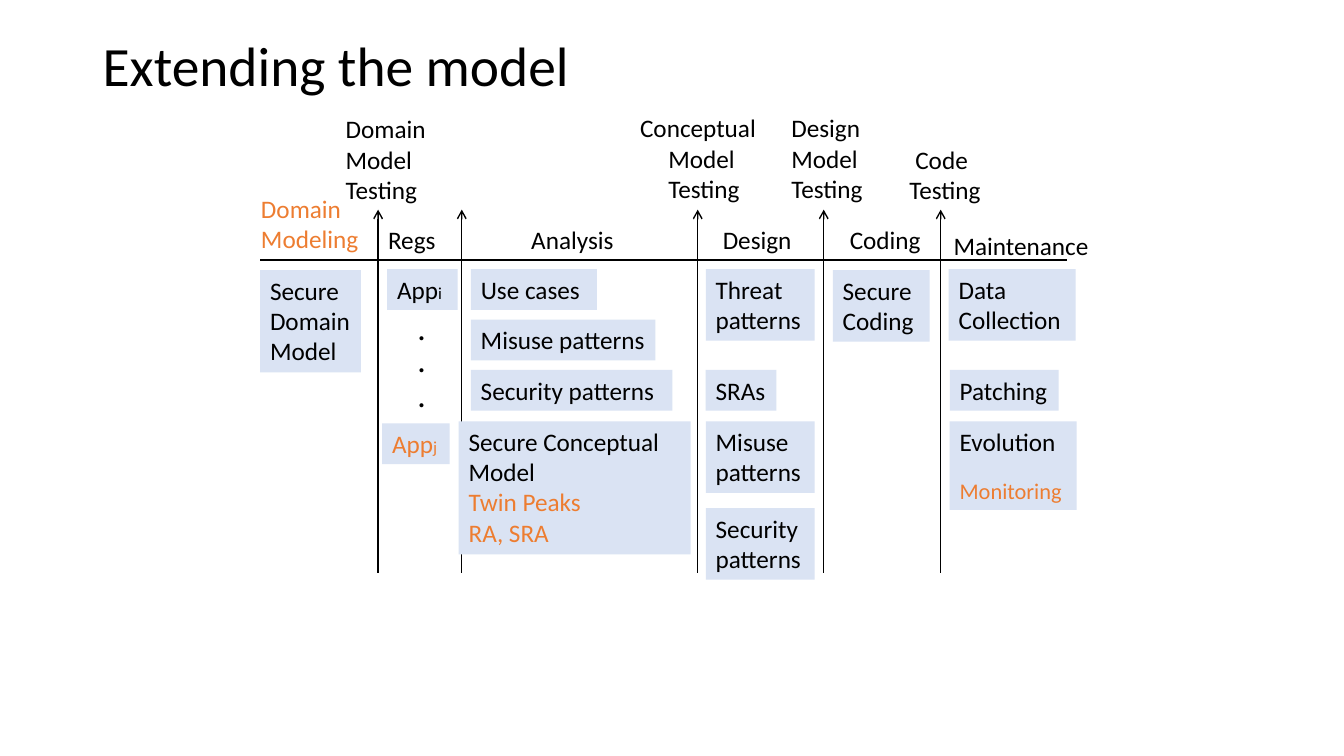
from pptx import Presentation
from pptx.util import Inches, Pt
from pptx.dml.color import RGBColor
from pptx.enum.shapes import MSO_CONNECTOR, MSO_SHAPE
from pptx.enum.text import MSO_ANCHOR, PP_ALIGN
from pptx.oxml.ns import qn
from lxml import etree

STRAIGHT, RECT = MSO_CONNECTOR.STRAIGHT, MSO_SHAPE.RECTANGLE
LEFT, TOP, MIDDLE = PP_ALIGN.LEFT, MSO_ANCHOR.TOP, MSO_ANCHOR.MIDDLE
BLACK = RGBColor(0x00, 0x00, 0x00)
ORANGE = RGBColor(0xED, 0x7D, 0x31)
PALE_BLUE = RGBColor(0xDA, 0xE3, 0xF3)
FONT = "Calibri"


def line(text, color=BLACK, size=18, sub="", indent=0, before=0):
    return dict(text=text, color=color, size=size, sub=sub,
                indent=indent, before=before)


# Content: left, top, width, lines, wrap
TITLE = "Extending the model"
LABELS = [
    (2.49, 1.87, 1.18, [line("Domain", ORANGE), line("Modeling", ORANGE)], False),
    (3.75, 2.18, 0.68, ["Regs"], False),
    (5.17, 2.18, 1.08, ["Analysis"], True),
    (7.07, 2.18, 0.92, ["Design"], True),
    (8.33, 2.18, 0.92, ["Coding"], True),
    (9.36, 2.24, 1.6, ["Maintenance"], True),
    (3.33, 1.08, 1, ["Domain", "Model", "Testing"], False),
    (6.25, 1.07, 1.42, ["Conceptual", line("Model", indent=0.28),
                        line("Testing", indent=0.28)], True),
    (7.75, 1.07, 1.08, ["Design", "Model", "Testing"], True),
    (8.92, 1.38, 1.08, [line("Code", indent=0.06), "Testing"], True),
]
ARTIFACTS = [
    (2.58, 2.68, 1, ["Secure", "Domain", "Model"], True),
    (3.84, 2.67, 0.7, [line("App", sub="i")], True),
    (3.79, 4.2, 0.67, [line("App", ORANGE, sub="j")], False),
    (4.67, 2.67, 1.25, ["Use cases"], True),
    (4.67, 3.17, 1.83, ["Misuse patterns"], True),
    (4.67, 3.67, 2, ["Security patterns"], True),
    (4.55, 4.18, 2.3, ["Secure Conceptual", "Model",
                       line("Twin Peaks", ORANGE), line("RA, SRA", ORANGE)], True),
    (7, 2.67, 1.08, ["Threat", "patterns"], True),
    (7, 3.67, 0.7, ["SRAs"], False),
    (7, 4.18, 1.08, ["Misuse", "patterns"], True),
    (7, 5.04, 1.08, ["Security", "patterns"], True),
    (8.26, 2.68, 0.96, ["Secure", "Coding"], True),
    (9.41, 2.67, 1.26, ["Data", "Collection"], True),
    (9.42, 3.67, 1.08, ["Patching"], False),
    (9.42, 4.18, 1.26, ["Evolution",
                        line("Monitoring", ORANGE, 16, before=14.6)], True),
]
DOT_TOPS = [3, 3.31, 3.66]
PHASE_XS = [3.75, 4.58, 6.92, 8.17, 9.33]
AXIS_Y, ARROW_TOP, ARROW_BOTTOM = 2.58, 2.08, 5.68

prs = Presentation()
prs.slide_width, prs.slide_height = Inches(13.33), Inches(7.5)
slide = prs.slides.add_slide(prs.slide_layouts[6])
shapes = slide.shapes


def add_line(x1, y1, x2, y2, arrow=False):
    c = shapes.add_connector(STRAIGHT, Inches(x1), Inches(y1), Inches(x2), Inches(y2))
    c.line.color.rgb = BLACK
    c.line.width = Pt(1)
    if arrow:
        etree.SubElement(c.line._get_or_add_ln(), qn("a:tailEnd"), type="arrow")
    etree.SubElement(c._element.spPr, qn("a:effectLst"))


def add_run(p, text, size, color):
    r = p.add_run()
    r.text = text
    r.font.name, r.font.size = FONT, Pt(size)
    r.font.color.rgb = color


def add_text(left, top, width, lines, wrap=True, fill=None, height=None):
    lines = [line(t) if isinstance(t, str) else t for t in lines]
    if height is None:
        height = 0.1 + sum(t["size"] * 1.22 + t["before"] for t in lines) / 72
    box = [Inches(v) for v in (left, top, width, height)]
    if fill is None:
        sp = shapes.add_textbox(*box)
    else:
        sp = shapes.add_shape(RECT, *box)
        sp.shadow.inherit = False
        sp.fill.solid()
        sp.fill.fore_color.rgb = fill
        sp.line.fill.background()
    tf = sp.text_frame
    tf.word_wrap = wrap
    tf.vertical_anchor = TOP
    for i, t in enumerate(lines):
        p = tf.add_paragraph() if i else tf.paragraphs[0]
        p.alignment = LEFT
        if t["indent"]:
            p._p.get_or_add_pPr().set("marL", str(Inches(t["indent"])))
        if t["before"]:
            p.space_before = Pt(t["before"])
        add_run(p, t["text"], t["size"], t["color"])
        if t["sub"]:
            add_run(p, t["sub"], 12, t["color"])
    return tf


# Axis and phase boundaries
add_line(2.58, AXIS_Y, 10.58, AXIS_Y)
for x in PHASE_XS:
    add_line(x, ARROW_BOTTOM, x, ARROW_TOP, arrow=True)

# Phase and testing labels
for left, top, width, lines, wrap in LABELS:
    add_text(left, top, width, lines, wrap)

# Artifacts of each phase
for left, top, width, lines, wrap in ARTIFACTS:
    add_text(left, top, width, lines, wrap, PALE_BLUE)

# Dots between the applications
for top in DOT_TOPS:
    add_text(4.04, top, 0.29, [line(".", size=24)], False)

# Title
tf = add_text(0.92, 0.4, 11.5, [line(TITLE, size=39.6)], height=0.55)
tf.vertical_anchor = MIDDLE
tf.paragraphs[0].line_spacing = 0.9

prs.save("out.pptx")
